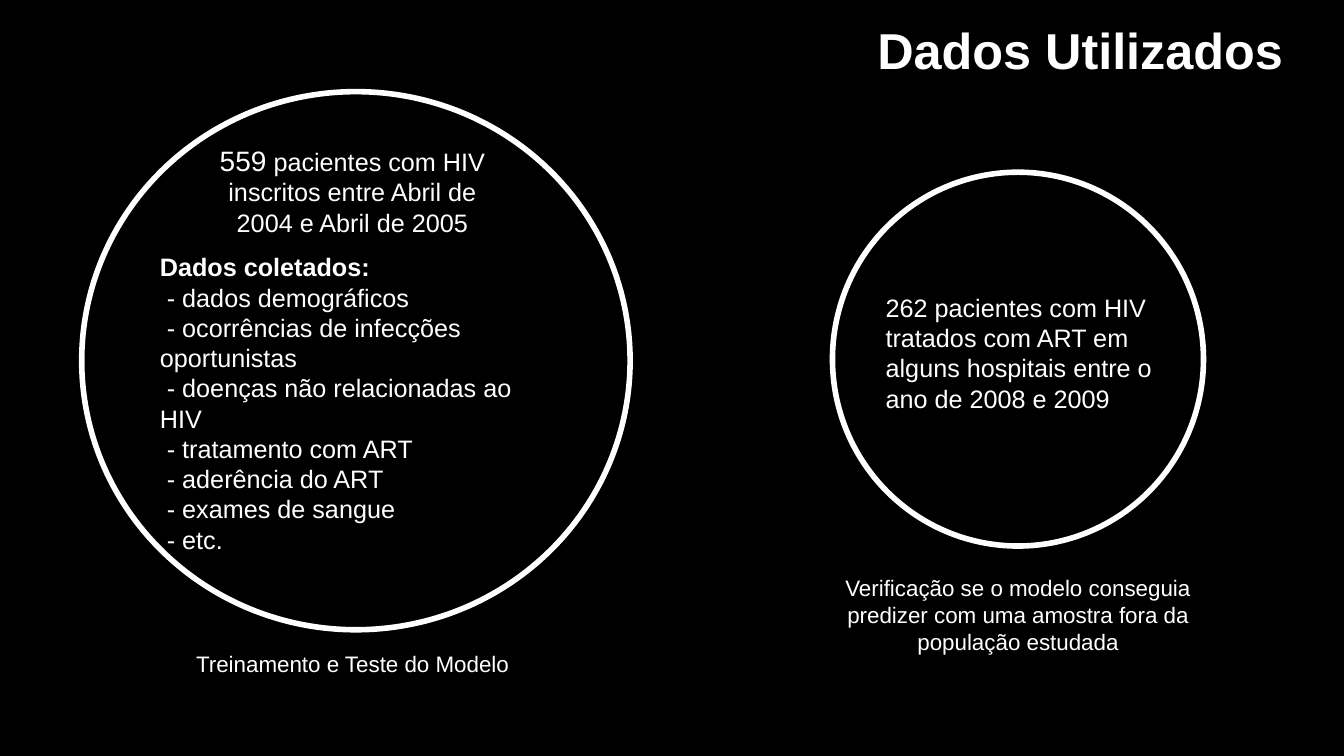
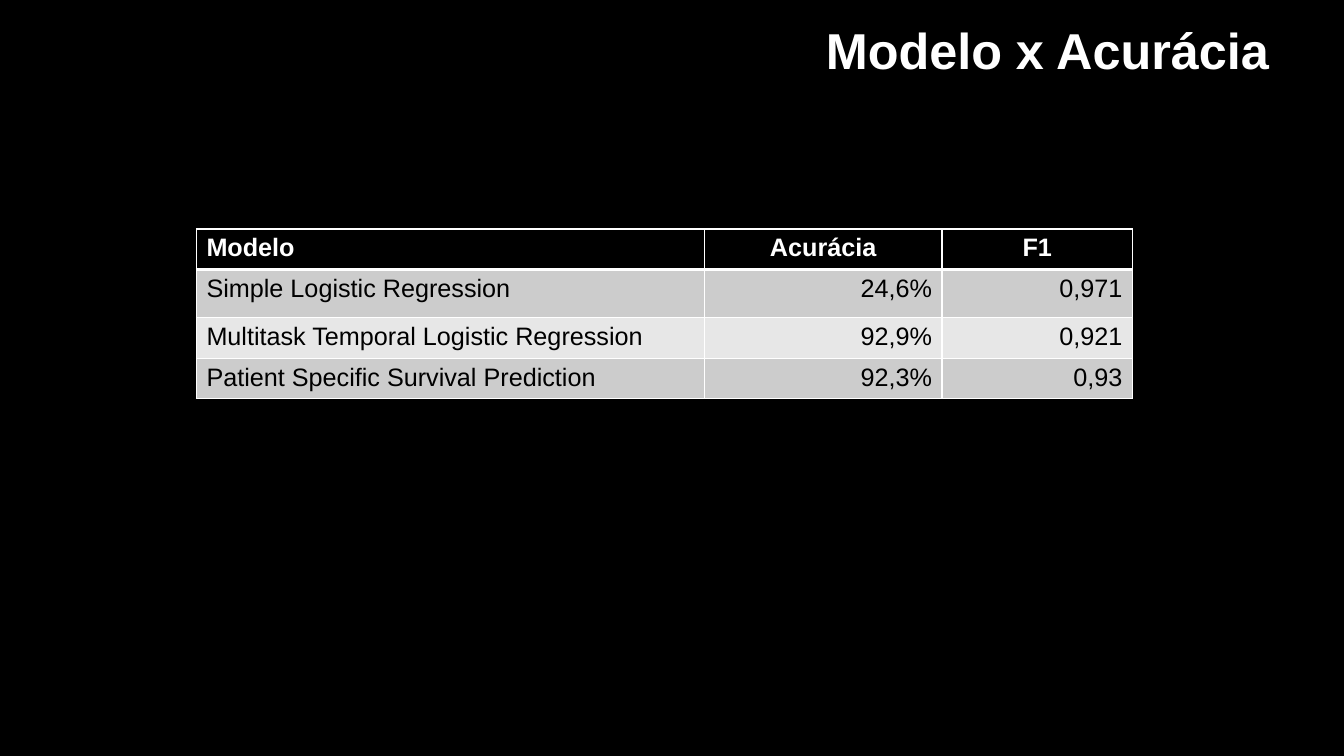
"""Build two slides on the patient data and the accuracy of the models."""
from lxml import etree
from pptx import Presentation
from pptx.dml.color import RGBColor
from pptx.enum.shapes import MSO_SHAPE
from pptx.enum.text import MSO_AUTO_SIZE, PP_ALIGN
from pptx.oxml.ns import qn
from pptx.util import Cm, Pt

LEFT, CENTER, RIGHT = PP_ALIGN.LEFT, PP_ALIGN.CENTER, PP_ALIGN.RIGHT
OVAL = MSO_SHAPE.OVAL
FIT_SHAPE = MSO_AUTO_SIZE.SHAPE_TO_FIT_TEXT

FONT = "Arial"
BLACK, WHITE = "000000", "FFFFFF"
BANDS = ("CCCCCC", "E7E7E7")
SLIDE_W, SLIDE_H = 33.87, 19.05
TITLE_RIGHT, TITLE_TOP, TITLE_H = 32.59, 0.36, 1.8

DATA_TITLE = ("Dados Utilizados", 11.15)
MODEL_TITLE = ("Modelo x Acurácia ", 15.19)

COLLECTED = [
    "dados demográficos",
    "ocorrências de infecções oportunistas",
    "doenças não relacionadas ao HIV",
    "tratamento com ART",
    "aderência do ART",
    "exames de sangue",
    "etc.",
]

CIRCLES = [(2.06, 2.31, 13.82, 13.56), (20.98, 4.34, 9.35, 9.42)]

DATA_TEXTS = [
    ((4.75, 3.48, 8.26, 2.64), CENTER,
     [[("559", 20, False),
       (" pacientes com HIV inscritos entre Abril de 2004 e Abril de 2005", 18, False)]]),
    ((3.78, 6.22, 9.65, 8.71), LEFT,
     [[("Dados coletados:", 18, True)]]
     + [[(f" - {item}", 18, False)] for item in COLLECTED]),
    ((3.91, 16.26, 10.11, 0.94), CENTER,
     [[("Treinamento e Teste do Modelo ", 16, False)]]),
    ((22.07, 7.24, 7.44, 3.33), LEFT,
     [[("262 pacientes com HIV tratados com ART em alguns hospitais "
        "entre o ano de 2008 e 2009", 18, False)]]),
    ((20.6, 14.35, 10.11, 2.31), CENTER,
     [[("Verificação se o modelo conseguia predizer com uma amostra "
        "fora da população estudada", 16, False)]]),
]

TABLE_LEFT, TABLE_TOP = 4.95, 5.77
COLUMN_WIDTHS = [12.8, 5.99, 4.8]
ROW_HEIGHTS = [1.02, 1.22, 1.02, 1.02]
MODELS = [
    ("Modelo", "Acurácia", "F1"),
    ("Simple Logistic Regression", "24,6%", "0,971"),
    ("Multitask Temporal Logistic Regression", "92,9%", "0,921"),
    ("Patient Specific Survival Prediction", "92,3%", "0,93"),
]


def rgb(color):
    return RGBColor.from_string(color)


def box(bounds):
    return [Cm(v) for v in bounds]


def add_run(p, text, size, bold=False, color=WHITE):
    r = p.add_run()
    r.text = text
    r.font.name, r.font.size, r.font.bold = FONT, Pt(size), bold
    r.font.color.rgb = rgb(color)


def add_text(s, bounds, align, paragraphs):
    tf = s.shapes.add_textbox(*box(bounds)).text_frame
    tf.word_wrap = True
    tf.auto_size = FIT_SHAPE
    for i, runs in enumerate(paragraphs):
        p = tf.add_paragraph() if i else tf.paragraphs[0]
        p.alignment = align
        for run in runs:
            add_run(p, *run)


def add_slide(prs, title, width):
    s = prs.slides.add_slide(prs.slide_layouts[6])
    s.background.fill.solid()
    s.background.fill.fore_color.rgb = rgb(BLACK)
    add_text(s, (TITLE_RIGHT - width, TITLE_TOP, width, TITLE_H), RIGHT,
             [[(title, 36, True)]])
    return s


def add_circle(s, bounds):
    sp = s.shapes.add_shape(OVAL, *box(bounds))
    sp.shadow.inherit = False
    sp.fill.background()
    sp.line.color.rgb = rgb(WHITE)
    sp.line.width = Pt(4)


def set_borders(cell, row):
    widths = {"L": 1, "R": 1, "T": 3 if row == 1 else 1, "B": 3 if row == 0 else 1}
    tc_pr = cell._tc.get_or_add_tcPr()
    for side, width in widths.items():
        ln = etree.SubElement(tc_pr, qn(f"a:ln{side}"), w=str(Pt(width)))
        fill = etree.SubElement(ln, qn("a:solidFill"))
        etree.SubElement(fill, qn("a:srgbClr"), val=WHITE)


def add_model_table(s):
    bounds = (TABLE_LEFT, TABLE_TOP, sum(COLUMN_WIDTHS), sum(ROW_HEIGHTS))
    table = s.shapes.add_table(len(MODELS), len(COLUMN_WIDTHS), *box(bounds)).table
    for column, width in zip(table.columns, COLUMN_WIDTHS):
        column.width = Cm(width)
    for i, values in enumerate(MODELS):
        table.rows[i].height = Cm(ROW_HEIGHTS[i])
        header = i == 0
        for j, value in enumerate(values):
            cell = table.cell(i, j)
            set_borders(cell, i)
            cell.fill.solid()
            cell.fill.fore_color.rgb = rgb(BLACK if header else BANDS[(i - 1) % 2])
            p = cell.text_frame.paragraphs[0]
            p.alignment = LEFT if j == 0 else CENTER if header else RIGHT
            add_run(p, value, 18, header, WHITE if header else BLACK)


def main():
    prs = Presentation()
    prs.slide_width, prs.slide_height = Cm(SLIDE_W), Cm(SLIDE_H)

    s = add_slide(prs, *DATA_TITLE)
    for bounds in CIRCLES:
        add_circle(s, bounds)
    for text in DATA_TEXTS:
        add_text(s, *text)

    add_model_table(add_slide(prs, *MODEL_TITLE))
    prs.save("out.pptx")


if __name__ == "__main__":
    main()
